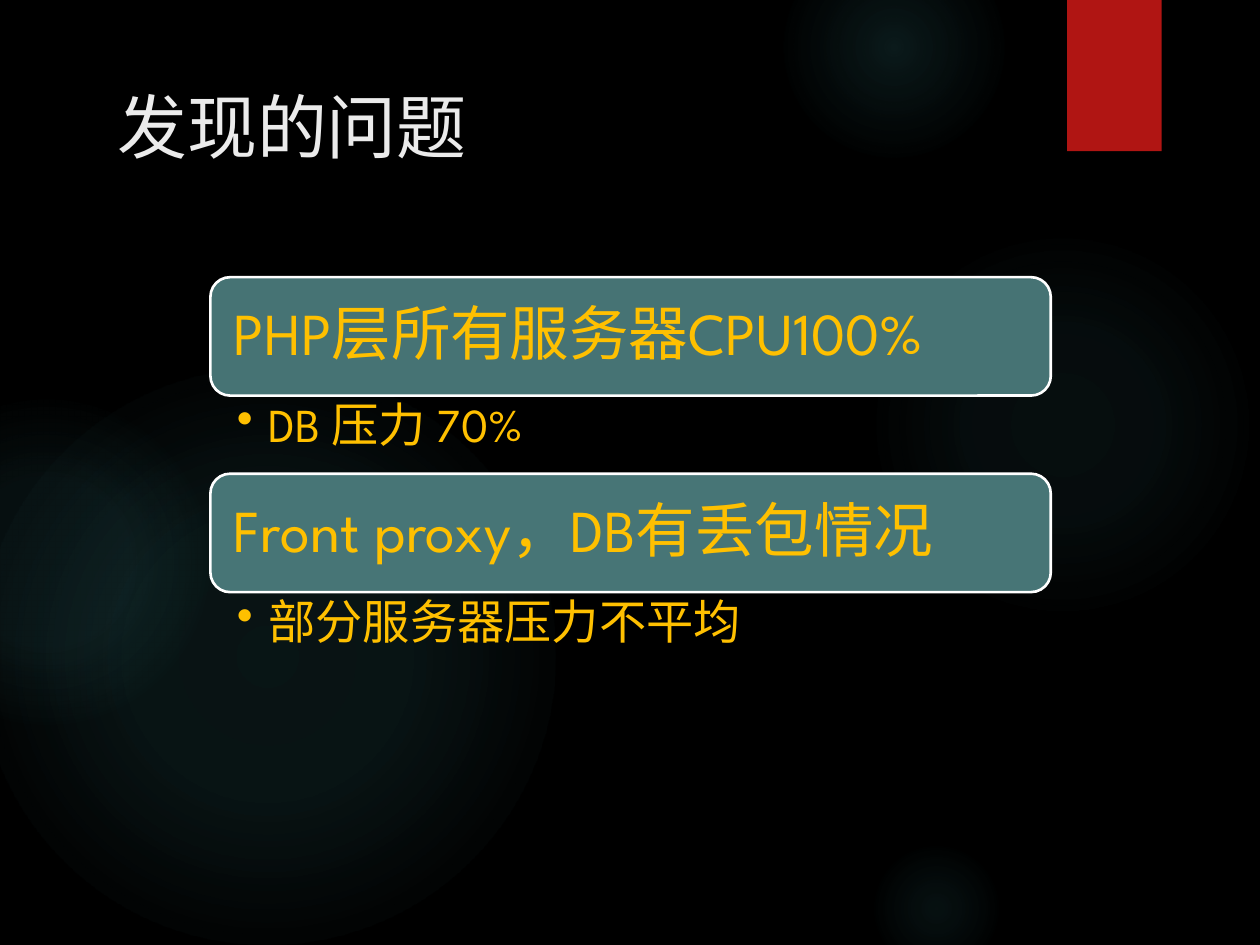
from pptx import Presentation
from pptx.dml.color import RGBColor
from pptx.enum.shapes import MSO_SHAPE
from pptx.enum.text import MSO_ANCHOR, PP_ALIGN
from pptx.oxml import parse_xml
from pptx.oxml.ns import nsdecls
from pptx.util import Inches, Pt


def color(value):
    return RGBColor.from_string(value)


def add_text(paragraph, text, size, text_color):
    paragraph.alignment = PP_ALIGN.LEFT
    span = paragraph.add_run()
    span.text = text
    span.font.name = "League Spartan"
    span.font.size = Pt(size)
    span.font.color.rgb = color(text_color)


deck = Presentation()
deck.slide_width = Inches(10)
deck.slide_height = Inches(7.5)
page = deck.slides.add_slide(deck.slide_layouts[5])
page.background.fill.solid()
page.background.fill.fore_color.rgb = color("000000")

glows = [
    (6.89, 1.83, 3.08, [(0, 7), (36, 6), (69, 0)]),
    (6.22, -0.5, 1.75, [(0, 14), (36, 7), (73, 0)]),
    (6.89, 6.67, 1.08, [(0, 9), (36, 5), (66, 0)]),
    (-0.17, 2.92, 4.58, [(0, 11), (36, 10), (75, 0)]),
    (-0.92, 3.17, 2.58, [(0, 8), (36, 8), (72, 0)]),
]
for left, top, size, stops in glows:
    glow = page.shapes.add_shape(
        MSO_SHAPE.OVAL, Inches(left), Inches(top), Inches(size), Inches(size))
    glow.shadow.inherit = False
    glow.line.fill.background()
    stop_list = "".join(
        f'<a:gs pos="{position * 1000}"><a:srgbClr val="50B9C1">'
        f'<a:alpha val="{alpha * 1000}"/></a:srgbClr></a:gs>'
        for position, alpha in stops)
    gradient = parse_xml(
        f'<a:gradFill {nsdecls("a")}><a:gsLst>{stop_list}</a:gsLst>'
        '<a:path path="circle"><a:fillToRect l="50000" t="50000" r="50000" b="50000"/>'
        '</a:path></a:gradFill>')
    glow.element.spPr.insert(2, gradient)

ribbon = page.shapes.add_shape(
    MSO_SHAPE.RECTANGLE, Inches(8.47), Inches(0), Inches(0.75), Inches(1.2))
ribbon.shadow.inherit = False
ribbon.fill.solid()
ribbon.fill.fore_color.rgb = color("B01513")
ribbon.line.fill.background()

title = page.shapes.title
title.left, title.top = Inches(0.83), Inches(0.36)
title.width, title.height = Inches(7.24), Inches(1.02)
title.text_frame.vertical_anchor = MSO_ANCHOR.BOTTOM
add_text(title.text_frame.paragraphs[0], "发现的问题", 40, "EBEBEB")

problems = [
    ("PHP层所有服务器CPU100%", "DB 压力 70%", "467374"),
    ("Front proxy，DB有丢包情况", "部分服务器压力不平均", "477576"),
]
left, width = Inches(1.67), Inches(6.67)
card_height, detail_height = Inches(0.94), Inches(0.62)
for index, (heading, detail, card_color) in enumerate(problems):
    top = Inches(2.2) + index * (card_height + detail_height)
    card = page.shapes.add_shape(MSO_SHAPE.ROUNDED_RECTANGLE, left, top, width, card_height)
    card.shadow.inherit = False
    card.fill.solid()
    card.fill.fore_color.rgb = color(card_color)
    card.line.color.rgb = color("FFFFFF")
    card.line.width = Pt(1.5)
    frame = card.text_frame
    frame.word_wrap = True
    frame.vertical_anchor = MSO_ANCHOR.MIDDLE
    frame.margin_left = frame.margin_right = Inches(0.14)
    frame.margin_top = frame.margin_bottom = Inches(0.14)
    frame.paragraphs[0].line_spacing = 0.9
    add_text(frame.paragraphs[0], heading, 34, "FFC000")

    box = page.shapes.add_textbox(left, top + card_height, width, detail_height)
    frame = box.text_frame
    frame.word_wrap = True
    frame.margin_left, frame.margin_right = Inches(0.21), Inches(0.26)
    paragraph = frame.paragraphs[0]
    paragraph.level = 1
    paragraph.line_spacing = 0.9
    add_text(paragraph, detail, 27, "FFC000")
    properties = paragraph._p.get_or_add_pPr()
    properties.set("marL", str(Inches(0.25)))
    properties.set("indent", str(-Inches(0.25)))
    properties.append(parse_xml(f'<a:buChar {nsdecls("a")} char="•"/>'))

deck.save("out.pptx")
